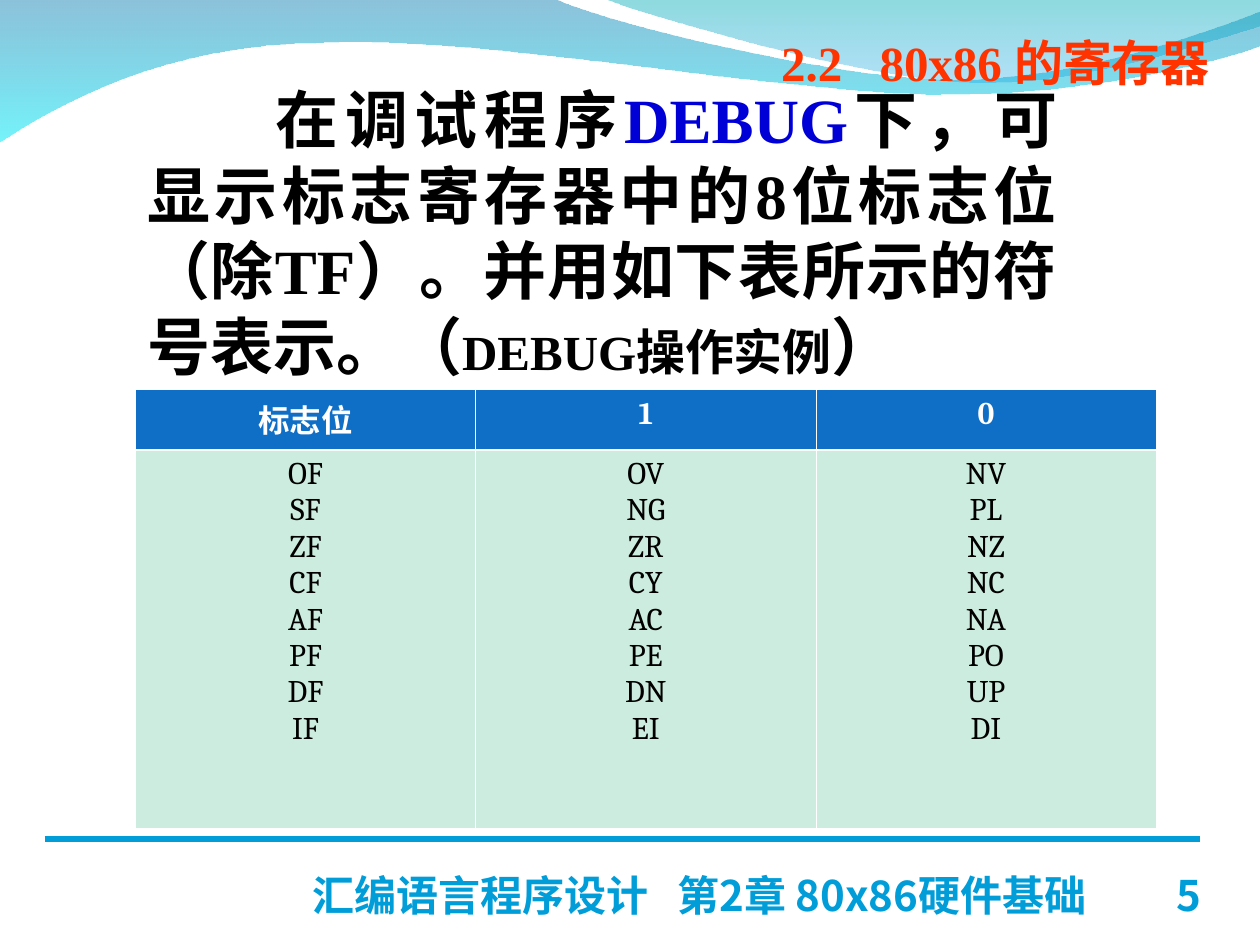
from lxml.etree import SubElement
from pptx import Presentation
from pptx.dml.color import RGBColor
from pptx.enum.shapes import MSO_CONNECTOR
from pptx.enum.text import MSO_ANCHOR, MSO_AUTO_SIZE, PP_ALIGN
from pptx.oxml import parse_xml
from pptx.oxml.ns import nsdecls, qn
from pptx.util import Pt

THEME = {
    "title": {"size": 28, "color": "FF3300", "font": "Times New Roman", "bold": True},
    "body": {"size": 36, "color": "000000", "font": "Times New Roman", "bold": True},
    "keyword": {"size": 36, "color": "0000D6", "font": "Times New Roman", "bold": True},
    "example": {"size": 28, "color": "000000", "font": "Times New Roman", "bold": True},
    "header": {"size": 18, "color": "FFFFFF", "font": "Cambria", "bold": True},
    "flag": {"size": 18, "color": "000000", "font": "Cambria", "bold": False},
    "footer": {"size": 24, "color": "009DD9", "font": "Noto Sans CJK JP", "bold": True},
    "east_asian": "Noto Sans CJK SC",
    "header_fill": "0F6FC6",
    "flag_fill": "CBECDE",
    "border": "FFFFFF",
    "rule": "009DD9",
}


def add_run(paragraph, text, style):
    run = paragraph.add_run()
    run.text = text
    look = THEME[style]
    values = {"size": Pt(look["size"]), "bold": look["bold"], "name": look["font"]}
    for name, value in values.items():
        setattr(run.font, name, value)
    run.font.color.rgb = RGBColor.from_string(look["color"])
    east_asian = SubElement(run.font._element, qn("a:ea"))
    east_asian.set("typeface", THEME["east_asian"])


def bend_lines(shape, segments):
    """Merge the three lines of each three-point segment into one cubic curve."""
    lines = iter(list(shape._element.spPr.iter(qn("a:lnTo"))))
    for segment in segments:
        parts = [next(lines) for _ in segment]
        if len(parts) == 3:
            curve = parse_xml(f'<a:cubicBezTo {nsdecls("a")}/>')
            parts[0].addprevious(curve)
            for part in parts:
                curve.append(part[0])
                part.getparent().remove(part)


presentation = Presentation()
presentation.slide_width, presentation.slide_height = Pt(720), Pt(540)
slide = presentation.slides.add_slide(presentation.slide_layouts[5])
shapes = slide.shapes

# Waves: start, segments (one point: line, three: curve), stops (colour, opacity in percent)
waves = [
    ((0, -0.7), [
        [(316.8, -0.7)],
        [(342.7, 12.2), (478.1, 45.4), (545.8, 45.4)],
        [(614.2, 45.4), (689.8, 18.7), (720, 6.5)],
        [(720.7, 25.9)],
        [(707.8, 31.7), (626.4, 54.7), (537.1, 54)],
        [(447.8, 54), (275, 20.2), (185, 24.5)],
        [(92.9, 25.2), (33.1, 59.8), (-0.7, 81.4)],
    ], [("0079AF", 45), ("00EBF8", 55)]),
    ((344.9, -0.7), [
        [(366.5, 7.9), (491, 44.6), (553.7, 46.8)],
        [(616.3, 49.7), (691.9, 23), (720, 15.1)],
        [(720, 0)],
    ], [("00ADB6", 45), ("009BE5", 30)]),
]
for start, segments, stops in waves:
    builder = shapes.build_freeform(Pt(start[0]), Pt(start[1]), scale=1.0)
    points = [(Pt(x), Pt(y)) for segment in segments for x, y in segment]
    builder.add_line_segments(points, close=True)
    wave = builder.convert_to_shape()
    bend_lines(wave, segments)
    wave.shadow.inherit = False
    wave.line.fill.background()
    wave.fill.gradient()
    wave.fill.gradient_angle = 270
    for stop, (color, opacity) in zip(wave.fill.gradient_stops, stops):
        stop.color.rgb = RGBColor.from_string(color)
    color_elements = wave._element.spPr.iter(qn("a:srgbClr"))
    for element, (color, opacity) in zip(color_elements, stops):
        SubElement(element, qn("a:alpha")).set("val", str(opacity * 1000))

rule = shapes.add_connector(MSO_CONNECTOR.STRAIGHT, Pt(25.5), Pt(479.5), Pt(685.7), Pt(479.5))
rule.line.color.rgb = RGBColor.from_string(THEME["rule"])
rule.line.width = Pt(3)
SubElement(rule._element.spPr, qn("a:effectLst"))

# The title lies in front of the waves
title = shapes.title
title._element.getparent().append(title._element)

# Text blocks: box, margins (left, top, right, bottom), line pitch, tab stop, runs
text_blocks = [
    {"shape": title, "box": (439.2, 15.1, 266.4, 41), "margins": (7.2, 3.6, 0, 3.6),
     "anchor": MSO_ANCHOR.TOP, "align": PP_ALIGN.LEFT, "pitch": 33.4, "tab": 56.2,
     "runs": [("2.2\t80x86 的寄存器", "title")]},
    {"box": (77, 42.5, 534.2, 180), "margins": (7.2, 3.6, 7.2, 3.6),
     "anchor": MSO_ANCHOR.TOP, "align": PP_ALIGN.JUSTIFY, "pitch": 43.2, "indent": 73.5,
     "runs": [("在调试程序", "body"), ("DEBUG", "keyword"),
              ("下，可显示标志寄存器中的8位标志位（除TF）。并用如下表所示的符号表示。（", "body"),
              ("DEBUG操作实例", "example"), ("）", "body")]},
    {"box": (178.6, 496.8, 481.7, 28.8), "margins": (0, 0, 0, 0),
     "anchor": MSO_ANCHOR.BOTTOM, "align": PP_ALIGN.LEFT, "tab": 208.5,
     "runs": [("汇编语言程序设计\t第2章 80x86硬件基础", "footer")]},
    {"box": (626.4, 496.8, 59.8, 28.8), "margins": (0, 0, 0, 0),
     "anchor": MSO_ANCHOR.BOTTOM, "align": PP_ALIGN.RIGHT,
     "runs": [("5", "footer")]},
]
for block in text_blocks:
    box = [Pt(length) for length in block["box"]]
    shape = block.get("shape") or shapes.add_textbox(*box)
    for name, value in zip(("left", "top", "width", "height"), box):
        setattr(shape, name, value)
    frame = shape.text_frame
    frame.auto_size = MSO_AUTO_SIZE.NONE
    frame.word_wrap = True
    frame.vertical_anchor = block["anchor"]
    for side, margin in zip(("left", "top", "right", "bottom"), block["margins"]):
        setattr(frame, f"margin_{side}", Pt(margin))
    paragraph = frame.paragraphs[0]
    paragraph.alignment = block["align"]
    if "pitch" in block:
        paragraph.line_spacing = Pt(block["pitch"])
    properties = paragraph._p.get_or_add_pPr()
    if "indent" in block:
        properties.set("indent", str(Pt(block["indent"])))
    if "tab" in block:
        tabs = SubElement(properties, qn("a:tabLst"))
        tab = SubElement(tabs, qn("a:tab"))
        tab.set("pos", str(Pt(block["tab"])))
        tab.set("algn", "l")
    for text, style in block["runs"]:
        add_run(paragraph, text, style)

# Flag table: header row, then one tall row listing the symbols
flag_columns = {
    "标志位": "OF SF ZF CF AF PF DF IF",
    "1": "OV NG ZR CY AC PE DN EI",
    "0": "NV PL NZ NC NA PO UP DI",
}
table = shapes.add_table(2, 3, Pt(77.4), Pt(222.5), Pt(583.2), Pt(250.6)).table
for row, height in zip(table.rows, (34.6, 216)):
    row.height = Pt(height)
row_styles = [
    ("header", "header_fill", {"L": 0.45, "R": 0.45, "T": 0.45, "B": 1.47}),
    ("flag", "flag_fill", {"L": 0.45, "R": 0.45, "T": 1.47, "B": 0.45}),
]
for column, (heading, flags) in enumerate(flag_columns.items()):
    table.columns[column].width = Pt(194.4)
    for row, lines in enumerate(([heading], flags.split())):
        style, fill, borders = row_styles[row]
        cell = table.cell(row, column)
        cell.fill.solid()
        cell.fill.fore_color.rgb = RGBColor.from_string(THEME[fill])
        for position, (side, width) in enumerate(borders.items()):
            cell._tc.get_or_add_tcPr().insert(position, parse_xml(
                f'<a:ln{side} {nsdecls("a")} w="{Pt(width)}"><a:solidFill>'
                f'<a:srgbClr val="{THEME["border"]}"/></a:solidFill></a:ln{side}>'))
        for index, line in enumerate(lines):
            frame = cell.text_frame
            paragraph = frame.add_paragraph() if index else frame.paragraphs[0]
            paragraph.alignment = PP_ALIGN.CENTER
            add_run(paragraph, line, style)

presentation.save("out.pptx")
